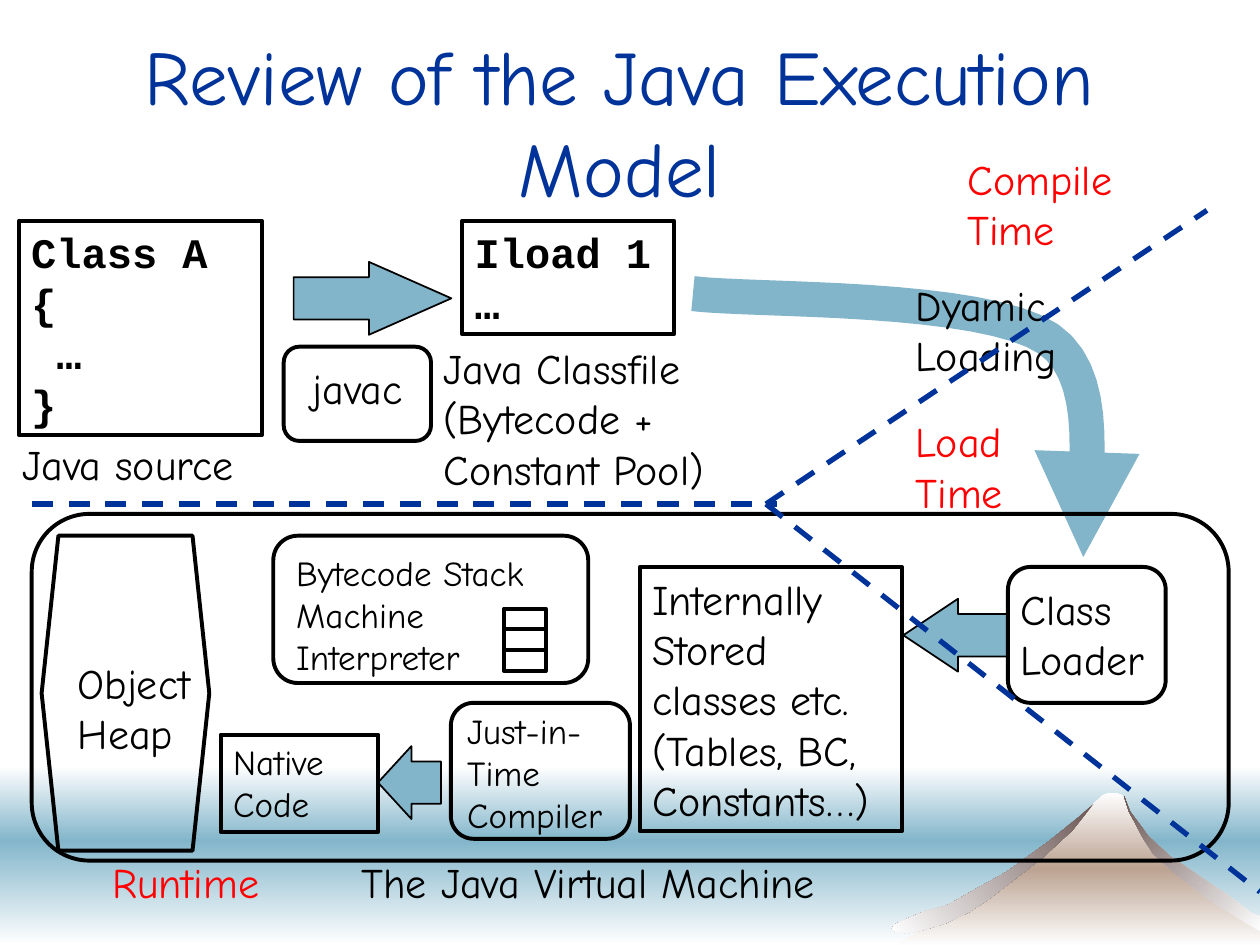
from pptx import Presentation
from pptx.dml.color import RGBColor
from pptx.enum import dml, shapes, text
from pptx.oxml import parse_xml
from pptx.oxml.ns import nsdecls
from pptx.util import Cm, Pt

S = shapes.MSO_SHAPE
HAND, CODE = "Comic Neue", "Courier New"
BLACK, RED, NAVY, TEAL, WHITE = "000000", "FF0000", "003399", "82B5CA", "FFFFFF"
PALE, TAN, BROWN = "FEFEFE", "BCA392", "6B5653"

TITLE = "Review of the Java Execution Model"

# Backdrop, lengths in cm: top, height, gradient colours
BANDS = [(15.44, 1.52, (WHITE, TEAL)), (16.93, 2.12, (TEAL, WHITE))]

# Mountain: outline, gradient colours, gradient angle
MOUNTAIN = [
    ([(18.06, 19.05), (20.07, 17.91), (21.34, 16.92), (22.07, 16.18),
      (22.23, 16.03), (22.35, 15.98), (22.5, 15.98), (22.63, 16.03),
      (22.94, 16.69), (23.42, 17.27), (24.59, 18.08), (25.4, 18.62),
      (25.4, 19.05)], (PALE, TAN, PALE), 90),
    ([(23.24, 17.2), (23.65, 17.58), (24.08, 17.91), (24.41, 18.16),
      (25.15, 18.62), (25.4, 18.77), (25.4, 18.47), (25.25, 18.42),
      (24.77, 18.06), (23.6, 17.27), (23.16, 16.87), (22.78, 16.36),
      (22.66, 16.05), (22.76, 16.36), (23.04, 16.89)], (PALE, BROWN), 225),
    ([(21.13, 16.97), (20.29, 17.58), (19.84, 17.83), (19.08, 18.26),
      (18.67, 18.36), (18.29, 18.52), (18.03, 18.64), (17.98, 18.72),
      (18.03, 18.77), (18.29, 18.82), (18.54, 18.77), (19.05, 18.62),
      (19.53, 18.39), (19.89, 18.16), (21.01, 17.3), (21.62, 16.74),
      (22.05, 16.2), (21.74, 16.48)], (BROWN, PALE), 135),
]

# Outlined shapes: preset, (left, top, width, height), first adjustment
OUTLINES = [
    (S.FLOWCHART_ALTERNATE_PROCESS, (5.72, 6.99, 2.97, 1.9), None),   # javac
    (S.ROUNDED_RECTANGLE, (0.64, 10.36, 24.13, 6.99), None),          # JVM
    (S.ROUNDED_RECTANGLE, (20.32, 11.43, 3.18, 2.74), None),          # loader
    (S.HEXAGON, (0.84, 10.8, 3.38, 6.35), 0.1),                       # heap
    (S.ROUNDED_RECTANGLE, (5.51, 10.8, 6.35, 2.97), None),            # interpreter
    (S.ROUNDED_RECTANGLE, (9.09, 14.17, 3.61, 2.74), None),           # JIT
]
STACK_LEFT, STACK_TOP, CELL_W, CELL_H, STACK_CELLS = 10.16, 12.27, 0.84, 0.42, 3

# Boxes that hold their own text: box, paragraphs, font, size
TEXT_BOXES = [
    ((0.38, 4.45, 4.9, 4.32), ["Class A {", " …", "}"], CODE, 24),
    ((9.32, 4.45, 4.27, 2.29), ["Iload 1", "…"], CODE, 24),
    ((12.9, 11.43, 5.28, 5.33),
     ["Internally Stored classes etc.\n(Tables, BC, Constants…)"], HAND, 24),
    ((4.45, 14.81, 3.18, 1.96), ["Native\nCode"], HAND, 20),
]

# Labels: box, text, size, colour, wraps
LABELS = [
    ((0.2, 8.71, 4.8, 1.27), "Java source", 24, BLACK, False),
    ((8.69, 6.78, 6.35, 3.3), "Java Classfile\n(Bytecode + Constant Pool)",
     24, BLACK, True),
    ((6.05, 7.19, 2.34, 1.27), "javac", 24, BLACK, False),
    ((7.04, 17.15, 9.65, 1.27), "The Java Virtual Machine", 24, BLACK, False),
    ((19.25, 2.97, 3.86, 2.29), "Compile Time", 24, RED, True),
    ((2.01, 17.15, 4.2, 1.27), "Runtime", 24, RED, True),
    ((20.32, 11.63, 3.61, 2.29), "Class Loader", 24, BLACK, True),
    ((1.32, 13.13, 2.77, 2.29), "Object\nHeap", 24, BLACK, False),
    ((5.72, 11, 6.15, 2.79), "Bytecode Stack Machine Interpreter", 20, BLACK, True),
    ((18.21, 5.51, 3.81, 2.29), "Dyamic Loading", 24, BLACK, True),
    ((9.17, 14.17, 3.23, 2.79), "Just-in-\nTime\nCompiler", 20, BLACK, False),
    ((18.21, 8.26, 3.86, 2.29), "Load\nTime", 24, RED, True),
]

# Block arrows: box, head length, rotation
ARROWS = [
    ((5.92, 5.28, 3.18, 1.47), 1.13, 0),
    ((18.21, 12.07, 2.11, 1.47), 0.75, 180),
    ((7.62, 15.04, 1.27, 1.47), 0.53, 180),
]

# Loading path: Bézier segments of four points
LOADING = [
    ((13.97, 5.92), (15.16, 6.07), (19.81, 5.94), (21.13, 6.83)),
    ((21.13, 6.83), (22.43, 7.72), (21.69, 10.31), (21.84, 11.23)),
]
CURVE_STEPS = 16

# Phase borders: from, to
BORDERS = [
    ((0.64, 10.16), (15.67, 10.16)),
    ((15.44, 10.16), (24.33, 4.24)),
    ((15.44, 10.16), (25.4, 17.98)),
]


def rgb(color):
    return RGBColor.from_string(color)


def cm(values):
    return [Cm(v) for v in values]


def style(sp, fill=None, line=None, width=2.25):
    sp.shadow.inherit = False
    for part, color in ((sp.fill, fill), (sp.line.fill, line)):
        if color:
            part.solid()
            part.fore_color.rgb = rgb(color)
        else:
            part.background()
    if line:
        sp.line.width = Pt(width)
    return sp


def gradient(sp, colors, angle):
    style(sp)
    stops = "".join(
        f'<a:gs pos="{100000 * i // (len(colors) - 1)}"><a:srgbClr val="{c}"/></a:gs>'
        for i, c in enumerate(colors))
    no_fill = sp._element.spPr.find("{*}noFill")
    no_fill.getparent().replace(no_fill, parse_xml(
        f'<a:gradFill {nsdecls("a")} rotWithShape="1"><a:gsLst>{stops}</a:gsLst>'
        f'<a:lin ang="{angle * 60000}" scaled="0"/></a:gradFill>'))


def add_path(s, points, close):
    pts = [tuple(cm(pt)) for pt in points]
    builder = s.shapes.build_freeform(*pts[0])
    builder.add_line_segments(pts[1:], close=close)
    return builder.convert_to_shape()


def write(sp, paragraphs, font, size, color, wrap=True):
    tf = sp.text_frame
    tf.word_wrap = wrap
    tf.auto_size = text.MSO_AUTO_SIZE.SHAPE_TO_FIT_TEXT
    tf.vertical_anchor = text.MSO_ANCHOR.TOP
    for i, words in enumerate(paragraphs):
        p = tf.add_paragraph() if i else tf.paragraphs[0]
        p.text = words
        p.alignment = text.PP_ALIGN.LEFT
        p.font.name, p.font.size, p.font.bold = font, Pt(size), font == CODE
        p.font.color.rgb = rgb(color)


def bezier(a, b, c, d, t):
    u = 1 - t
    return tuple(u**3 * w + 3 * u * u * t * x + 3 * u * t * t * y + t**3 * z
                 for w, x, y, z in zip(a, b, c, d))


prs = Presentation()
prs.slide_width, prs.slide_height = Cm(25.4), Cm(19.05)
s = prs.slides.add_slide(prs.slide_layouts[5])

# Title
title = s.shapes.title
title.left, title.top, title.width, title.height = cm((1.7, 0.84, 21.59, 3.18))
tf = title.text_frame
tf.text = TITLE
tf.word_wrap = True
tf.auto_size = text.MSO_AUTO_SIZE.NONE
tf.vertical_anchor = text.MSO_ANCHOR.MIDDLE
p = tf.paragraphs[0]
p.alignment = text.PP_ALIGN.CENTER
p.font.name, p.font.size = HAND, Pt(44)
p.font.color.rgb = rgb(NAVY)

# Backdrop
for top, height, colors in BANDS:
    gradient(s.shapes.add_shape(S.RECTANGLE, *cm((0, top, 25.4, height))), colors, 90)
for points, colors, angle in MOUNTAIN:
    gradient(add_path(s, points, True), colors, angle)

# Dynamic loading arrow
curve = [LOADING[0][0]] + [
    bezier(*segment, step / CURVE_STEPS)
    for segment in LOADING for step in range(1, CURVE_STEPS + 1)]
loading = style(add_path(s, curve, False), line=TEAL, width=20)
ln = loading.line._get_or_add_ln()
ln.append(parse_xml(f'<a:round {nsdecls("a")}/>'))
ln.append(parse_xml(f'<a:tailEnd {nsdecls("a")} type="triangle"/>'))

# Block arrows
for box, head, rotation in ARROWS:
    sp = style(s.shapes.add_shape(S.RIGHT_ARROW, *cm(box)), TEAL, BLACK, 1)
    sp.adjustments[0], sp.adjustments[1] = 0.58, head
    sp.rotation = rotation

# Outlines and operand stack
stack = [(S.RECTANGLE, (STACK_LEFT, STACK_TOP + i * CELL_H, CELL_W, CELL_H), None)
         for i in range(STACK_CELLS)]
for preset, box, adjustment in OUTLINES + stack:
    sp = style(s.shapes.add_shape(preset, *cm(box)), line=BLACK)
    if adjustment is not None:
        sp.adjustments[0] = adjustment

# Text
for box, paragraphs, font, size in TEXT_BOXES:
    sp = style(s.shapes.add_shape(S.RECTANGLE, *cm(box)), line=BLACK)
    write(sp, paragraphs, font, size, BLACK)
for box, words, size, color, wrap in LABELS:
    write(s.shapes.add_textbox(*cm(box)), [words], HAND, size, color, wrap)

# Borders between compile time, load time and runtime
for start, end in BORDERS:
    border = s.shapes.add_connector(shapes.MSO_CONNECTOR.STRAIGHT, *cm(start + end))
    border.line.color.rgb = rgb(NAVY)
    border.line.width = Pt(3)
    border.line.dash_style = dml.MSO_LINE.DASH
    border._element.spPr.append(parse_xml(f'<a:effectLst {nsdecls("a")}/>'))

prs.save("out.pptx")
